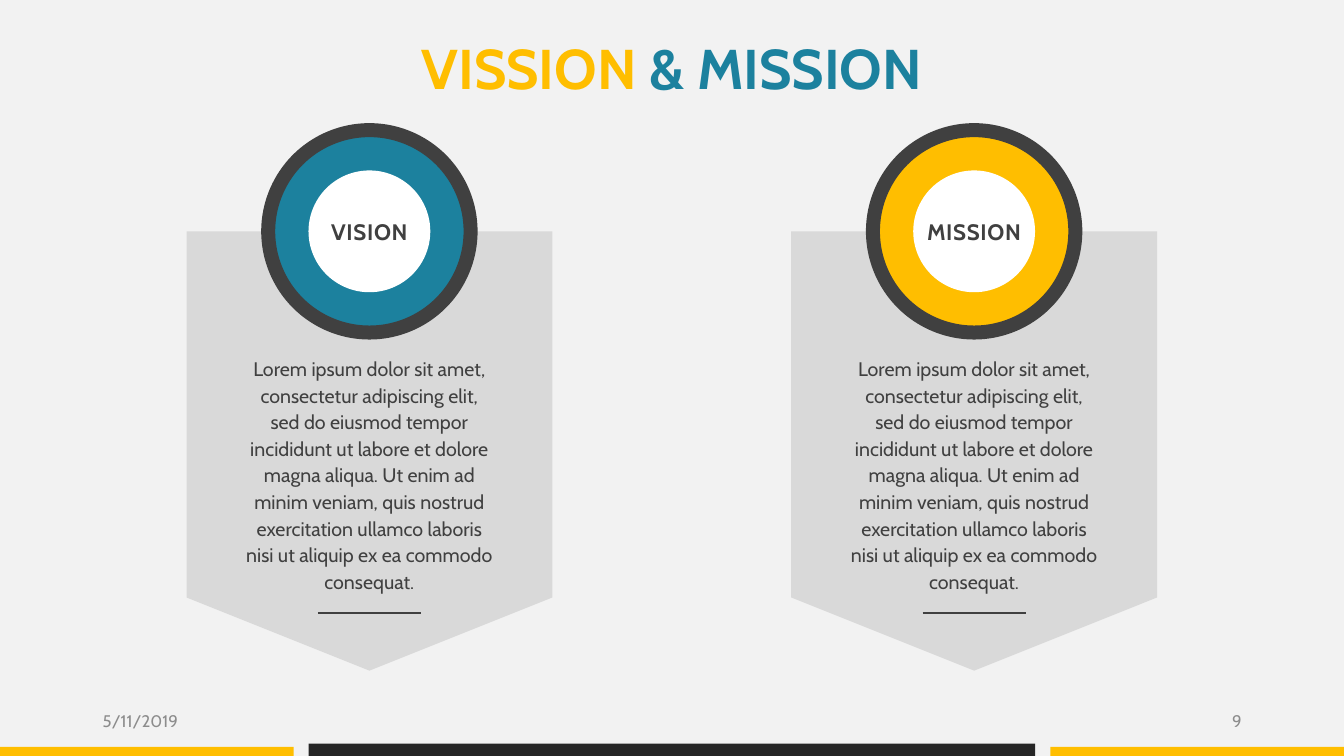
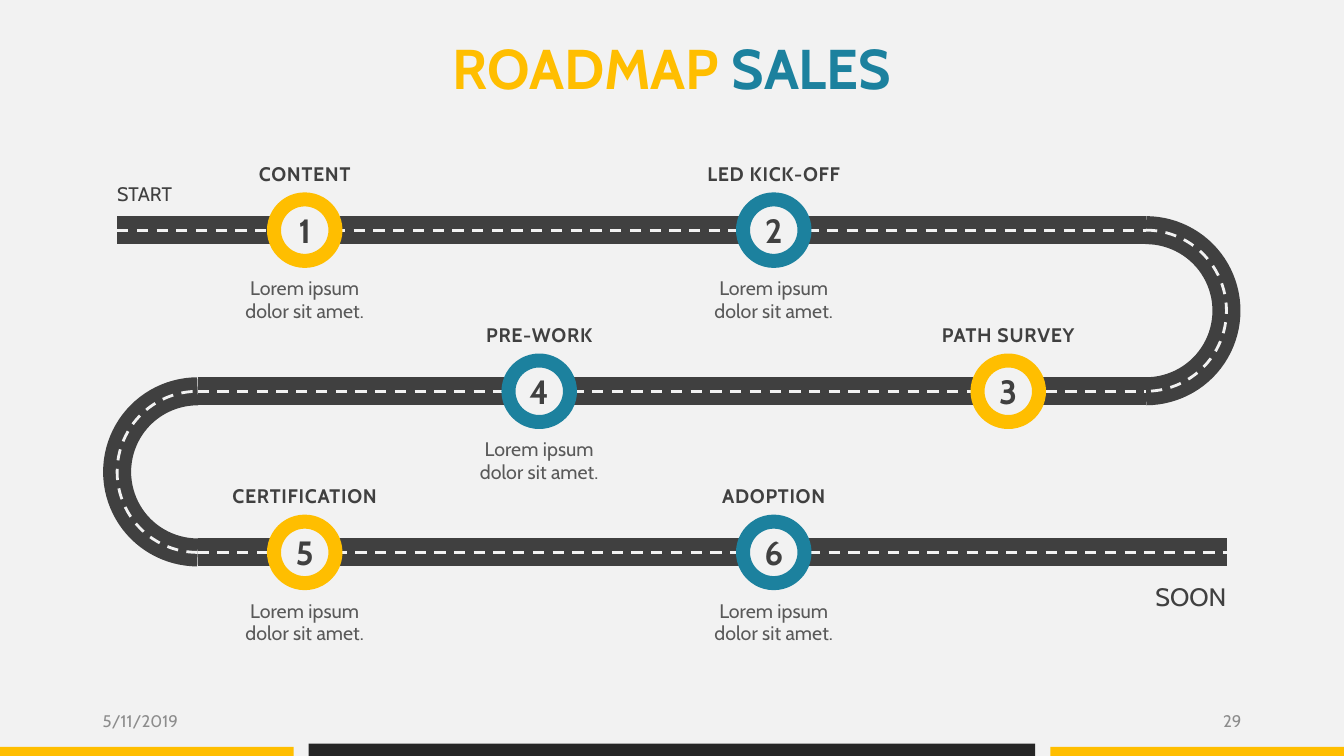
"""Build the vision and mission slide and the sales roadmap slide."""
from dataclasses import dataclass

from lxml import etree
from pptx import Presentation
from pptx.dml.color import RGBColor
from pptx.enum.dml import MSO_LINE
from pptx.enum.shapes import MSO_CONNECTOR, MSO_SHAPE
from pptx.enum.text import MSO_ANCHOR, MSO_AUTO_SIZE, PP_ALIGN
from pptx.oxml.ns import qn
from pptx.util import Cm, Pt

ARC, ELLIPSE = MSO_SHAPE.ARC, MSO_SHAPE.OVAL
PENTAGON, RECTANGLE = MSO_SHAPE.PENTAGON, MSO_SHAPE.RECTANGLE
STRAIGHT, DASH = MSO_CONNECTOR.STRAIGHT, MSO_LINE.DASH
LEFT, CENTER, RIGHT = PP_ALIGN.LEFT, PP_ALIGN.CENTER, PP_ALIGN.RIGHT
TOP, MIDDLE = MSO_ANCHOR.TOP, MSO_ANCHOR.MIDDLE
NO_FIT = MSO_AUTO_SIZE.NONE
TITLE_ONLY = 5


@dataclass(frozen=True)
class Theme:
    """Hold the colours, font and type sizes of the deck."""
    font: str = "Cabin"
    paper: str = "F2F2F2"
    yellow: str = "FFBE00"
    teal: str = "1C819E"
    black: str = "262626"
    dark: str = "404040"
    caption: str = "595959"
    footer: str = "8C8C8C"
    panel: str = "D9D9D9"
    white: str = "FFFFFF"
    title_size: int = 40
    number_size: int = 24
    end_size: int = 18
    badge_size: int = 16
    text_size: int = 14
    footer_size: int = 12
    ring: int = 10
    road: int = 20


@dataclass(frozen=True)
class Box:
    """Describe a region of a slide in centimetres."""
    left: float
    top: float
    width: float
    height: float

    @property
    def center(self):
        """Return the horizontal centre."""
        return self.left + self.width / 2

    @property
    def right(self):
        """Return the right edge."""
        return self.left + self.width

    def lengths(self):
        """Return the four lengths for a new shape."""
        return Cm(self.left), Cm(self.top), Cm(self.width), Cm(self.height)


THEME = Theme()
PAGE = Box(0, 0, 33.87, 19.05)
TITLE = Box(1.98, 0.84, 29.9, 1.7)
FOOTER = Box(2.59, 17.65, 28.7, 1.02)
ROAD = Box(2.95, 5.8, 27.96, 8.12)
CARD_SIZE = (9.22, 11.07)
CARD_TOP = 5.83
DATE = "5/11/2019"
LOREM = ("Lorem ipsum dolor sit amet, consectetur adipiscing elit, sed do "
         "eiusmod tempor incididunt ut labore et dolore magna aliqua. Ut enim "
         "ad minim veniam, quis nostrud exercitation ullamco laboris nisi ut "
         "aliquip ex ea commodo consequat.")
SHORT_LOREM = "Lorem ipsum dolor sit amet."
CARDS = [("VISION", THEME.teal, 4.7), ("MISSION", THEME.yellow, 19.94)]
STOPS = [
    ("CONTENT", 0, 0, THEME.yellow, SHORT_LOREM),
    ("LED KICK-OFF", 0, 2, THEME.teal, SHORT_LOREM),
    ("PATH SURVEY", 1, 3, THEME.yellow, None),
    ("PRE-WORK", 1, 1, THEME.teal, SHORT_LOREM),
    ("CERTIFICATION", 2, 0, THEME.yellow, SHORT_LOREM),
    ("ADOPTION", 2, 2, THEME.teal, SHORT_LOREM),
]


def rgb(color):
    """Turn a hex string into a colour."""
    return RGBColor.from_string(color)


def style_run(run, size, color, bold=False, tracking=0):
    """Format one run; tracking is in hundredths of a point."""
    run.font.name = THEME.font
    run.font.size = Pt(size)
    run.font.bold = bold
    run.font.color.rgb = rgb(color)
    if tracking:
        run.font._element.set("spc", str(tracking))


def fit_frame(frame, anchor, wrap=True):
    """Remove the insets of a text frame and fix its behaviour."""
    frame.margin_left = frame.margin_right = 0
    frame.margin_top = frame.margin_bottom = 0
    frame.auto_size = NO_FIT
    frame.word_wrap = wrap
    frame.vertical_anchor = anchor


def add_label(slide, box, text, size, color=THEME.dark, align=CENTER,
              leading=None, anchor=TOP, **run_style):
    """Add a text box with one formatted paragraph."""
    frame = slide.shapes.add_textbox(*box.lengths()).text_frame
    fit_frame(frame, anchor)
    frame.text = text
    paragraph = frame.paragraphs[0]
    paragraph.alignment = align
    if leading:
        paragraph.line_spacing = Pt(leading)
    style_run(paragraph.runs[0], size, color, **run_style)


def stroke(part, color, width, dashed=False):
    """Give a shape or connector its line."""
    part.line.color.rgb = rgb(color)
    part.line.width = Pt(width)
    if dashed:
        part.line.dash_style = DASH


def add_solid(slide, preset, box, fill):
    """Add a flat shape without a line."""
    solid = slide.shapes.add_shape(preset, *box.lengths())
    solid.shadow.inherit = False
    solid.fill.solid()
    solid.fill.fore_color.rgb = rgb(fill)
    solid.line.fill.background()
    return solid


def add_disc(slide, x, y, diameter, fill, ring=None, text=None, size=0):
    """Add a circle around a centre, with an optional ring and text."""
    box = Box(x - diameter / 2, y - diameter / 2, diameter, diameter)
    disc = add_solid(slide, ELLIPSE, box, fill)
    if ring:
        stroke(disc, ring, THEME.ring)
    if text:
        fit_frame(disc.text_frame, MIDDLE, wrap=False)
        disc.text_frame.text = text
        paragraph = disc.text_frame.paragraphs[0]
        paragraph.alignment = CENTER
        style_run(paragraph.runs[0], size, THEME.dark, bold=True, tracking=50)


def add_level_line(slide, start, end, y, *line_style):
    """Add a horizontal line without a shadow."""
    level = slide.shapes.add_connector(
        STRAIGHT, Cm(start), Cm(y), Cm(end), Cm(y))
    stroke(level, *line_style)
    etree.SubElement(level._element.spPr, qn("a:effectLst"))


def add_turn(slide, box, rotation, *line_style):
    """Add a half circle that joins two rows of the road."""
    turn = slide.shapes.add_shape(ARC, *box.lengths())
    turn.adjustments[0], turn.adjustments[1] = 162, 54
    turn.rotation = rotation
    turn.shadow.inherit = False
    turn.fill.background()
    stroke(turn, *line_style)


def add_title(slide, box, first, second):
    """Fill the title placeholder in two colours."""
    title = slide.shapes.title
    title.left, title.top, title.width, title.height = box.lengths()
    fit_frame(title.text_frame, TOP)
    paragraph = title.text_frame.paragraphs[0]
    paragraph.text = first + " "
    paragraph.alignment = CENTER
    paragraph.add_run().text = second
    for run, color in zip(paragraph.runs, (THEME.yellow, THEME.teal)):
        style_run(run, THEME.title_size, color, bold=True)


def add_bands(slide, page):
    """Add the three bands along the bottom edge."""
    side, gap, low, high = 7.4, 0.38, 0.23, 0.31
    bottom = page.top + page.height
    middle = page.width - 2 * (side + gap)
    for left, width, height, color in (
            (page.left, side, low, THEME.yellow),
            (page.left + side + gap, middle, high, THEME.black),
            (page.right - side, side, low, THEME.yellow)):
        add_solid(slide, RECTANGLE,
                  Box(left, bottom - height, width, height), color)


def add_footer(slide, box, number):
    """Add the date and the slide number."""
    width = 7.4
    for left, text, align in ((box.left, DATE, LEFT),
                              (box.right - width, number, RIGHT)):
        add_label(slide, Box(left, box.top, width, box.height), text,
                  THEME.footer_size, THEME.footer, align, anchor=MIDDLE)


def start_slide(deck, first, second, number):
    """Add a slide with the shared title, bands and footer."""
    slide = deck.slides.add_slide(deck.slide_layouts[TITLE_ONLY])
    add_title(slide, TITLE, first, second)
    add_bands(slide, PAGE)
    add_footer(slide, FOOTER, number)
    return slide


def add_card(slide, box, name, color):
    """Add a pointed panel with a badge, a text and a short rule."""
    shift = (box.height - box.width) / 2
    panel = add_solid(slide, PENTAGON,
                      Box(box.left - shift, box.top + shift,
                          box.height, box.width), THEME.panel)
    panel.rotation = 90
    panel.adjustments[0] = 0.2
    add_disc(slide, box.center, box.top, 5.1, color, THEME.dark)
    add_disc(slide, box.center, box.top, 3.07, THEME.white,
             text=name, size=THEME.badge_size)
    text_width, rule_width = 6.3, 2.6
    add_label(slide, Box(box.center - text_width / 2, box.top + 3.09,
                         text_width, 6.05),
              LOREM, THEME.text_size, leading=19)
    add_level_line(slide, box.center - rule_width / 2,
                   box.center + rule_width / 2, box.top + 9.61,
                   THEME.dark, 1.5)


def add_road(slide, box):
    """Add the winding road, its centre line and the words at both ends."""
    step = box.height / 2
    bend_left, bend_right = box.left + step / 2, box.right - step / 2
    rows = [(box.left, bend_right), (bend_left, bend_right),
            (bend_left, box.right)]
    turns = [(box.right - step, 0), (box.left, 180)]
    for line_style in ((THEME.dark, THEME.road), (THEME.paper, 2, True)):
        for row, (start, end) in enumerate(rows):
            add_level_line(slide, start, end, box.top + row * step,
                           *line_style)
        for row, (left, rotation) in enumerate(turns):
            add_turn(slide, Box(left, box.top + row * step, step, step),
                     rotation, *line_style)
    width = 2.5
    add_label(slide, Box(box.left, box.top - 1.32, width, 0.64), "START",
              THEME.text_size, align=LEFT, leading=20)
    add_label(slide, Box(box.right - width, box.top + box.height + 0.79,
                         width, 0.71), "SOON",
              THEME.end_size, align=RIGHT, leading=20)


def add_stop(slide, x, y, number, name, color, caption):
    """Add a numbered stop with its name above and caption below."""
    name_width, caption_width = 4.1, 3.63
    add_disc(slide, x, y, 1.55, THEME.paper, color,
             str(number), THEME.number_size)
    add_label(slide, Box(x - name_width / 2, y - 1.84, name_width, 0.71),
              name, THEME.text_size, leading=20, bold=True, tracking=50)
    if caption:
        add_label(slide, Box(x - caption_width / 2, y + 1.19,
                             caption_width, 1.14),
                  caption, THEME.text_size, THEME.caption, leading=16)


def build_vision(deck):
    """Build the slide with the two cards."""
    slide = start_slide(deck, "VISSION", "& MISSION", "9")
    for name, color, left in CARDS:
        add_card(slide, Box(left, CARD_TOP, *CARD_SIZE), name, color)


def build_roadmap(deck):
    """Build the slide with the road and its stops."""
    slide = start_slide(deck, "ROADMAP", "SALES", "29")
    add_road(slide, ROAD)
    for number, (name, row, column, color, caption) in enumerate(STOPS, 1):
        add_stop(slide, ROAD.left + 4.73 + 5.91 * column,
                 ROAD.top + row * ROAD.height / 2,
                 number, name, color, caption)


def main():
    """Build and save the deck."""
    deck = Presentation()
    deck.slide_width, deck.slide_height = Cm(PAGE.width), Cm(PAGE.height)
    backdrop = deck.slide_master.background.fill
    backdrop.solid()
    backdrop.fore_color.rgb = rgb(THEME.paper)
    build_vision(deck)
    build_roadmap(deck)
    deck.save("out.pptx")


if __name__ == "__main__":
    main()
